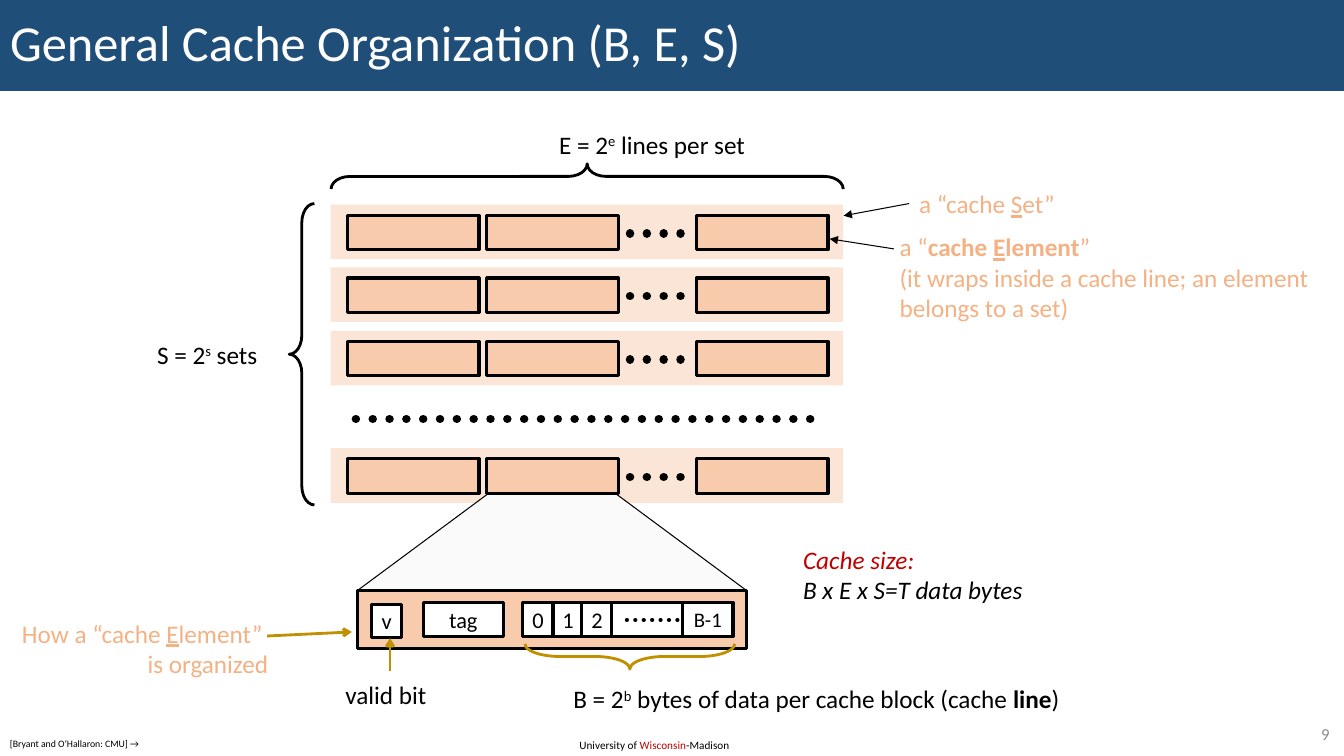
from lxml.etree import SubElement
from pptx import Presentation
from pptx.dml.color import RGBColor
from pptx.enum.dml import MSO_LINE
from pptx.enum.shapes import MSO_CONNECTOR, MSO_SHAPE
from pptx.enum.text import MSO_ANCHOR, PP_ALIGN
from pptx.oxml.ns import qn
from pptx.util import Pt

COLORS = {
    "black": "000000", "white": "FFFFFF", "navy": "1F4E79", "band": "FBE5D6",
    "line": "F8CBAD", "label": "F4B183", "red": "C00000", "gold": "BF9000",
    "zoom": "FAFAFA", "gray": "8C8C8C",
}
UNDERLINE = {"underline": True}
BOLD = {"bold": True}
SUPERSCRIPT = {"superscript": True}
CELL_FRAME = {
    "vertical_anchor": MSO_ANCHOR.MIDDLE, "word_wrap": False,
    "margin_left": 0, "margin_right": 0, "margin_top": 0, "margin_bottom": 0,
}


class CacheSlide:
    font_name = "Calibri"

    def __init__(self, presentation):
        self.slide = presentation.slides.add_slide(presentation.slide_layouts[5])

    def color(self, name):
        return RGBColor.from_string(COLORS[name])

    def apply(self, target, values):
        for name, value in values.items():
            setattr(target, name, value)

    def paint(self, shape, fill, line, width):
        if fill:
            shape.fill.solid()
            shape.fill.fore_color.rgb = self.color(fill)
        else:
            shape.fill.background()
        if line:
            shape.line.color.rgb = self.color(line)
            shape.line.width = Pt(width)
        else:
            shape.line.fill.background()

    def fill_text(self, shape, paragraphs, size, color, align=PP_ALIGN.LEFT, frame=None):
        text_frame = shape.text_frame
        self.apply(text_frame, {"word_wrap": True, **(frame or {})})
        for index, runs in enumerate(paragraphs):
            paragraph = text_frame.add_paragraph() if index else text_frame.paragraphs[0]
            paragraph.alignment = align
            for text, extra in runs:
                if text == "\n":
                    paragraph.add_line_break()
                    continue
                run = paragraph.add_run()
                run.text = text
                values = {"name": self.font_name, "size": Pt(size), **extra}
                if values.pop("superscript", False):
                    run.font._element.set("baseline", "30000")
                run.font.color.rgb = self.color(values.pop("color", color))
                self.apply(run.font, values)

    def title(self, text, height):
        shape = self.slide.shapes.title
        self.apply(shape, {"left": 0, "top": 0, "width": Pt(960), "height": Pt(height)})
        self.paint(shape, "navy", None, 0)
        self.fill_text(shape, [[(text, {})]], 36, "white",
                       frame={"vertical_anchor": MSO_ANCHOR.MIDDLE})
        shape.text_frame.paragraphs[0].line_spacing = 0.9

    def text(self, left, top, width, height, paragraphs, size=18, color="black", **style):
        shape = self.slide.shapes.add_textbox(Pt(left), Pt(top), Pt(width), Pt(height))
        self.fill_text(shape, paragraphs, size, color, **style)

    def shape(self, left, top, width, height, fill=None, line="black", weight=2.25,
              kind=MSO_SHAPE.RECTANGLE, adjustments=(), rotation=0):
        shape = self.slide.shapes.add_shape(kind, Pt(left), Pt(top), Pt(width), Pt(height))
        shape.shadow.inherit = False
        shape.rotation = rotation
        for index, value in enumerate(adjustments):
            shape.adjustments[index] = value
        self.paint(shape, fill, line, weight)
        return shape

    def cell(self, left, top, width, text, size=16):
        shape = self.shape(left, top, width, 24, "white")
        self.fill_text(shape, [[(text, {})]], size, "black", PP_ALIGN.CENTER, CELL_FRAME)

    def brace(self, left, top, height, rotation=0, color="black", curve=0.75):
        self.shape(left, top, 18, height, None, color, 2,
                   MSO_SHAPE.LEFT_BRACE, (curve, 0.5), rotation)

    def connector(self, start, end, color, width):
        points = [Pt(value) for value in (*start, *end)]
        connector = self.slide.shapes.add_connector(MSO_CONNECTOR.STRAIGHT, *points)
        connector.line.color.rgb = self.color(color)
        connector.line.width = Pt(width)
        SubElement(connector._element.spPr, qn("a:effectLst"))
        return connector

    def arrow(self, start, end, color="black", width=0.75, head="triangle"):
        connector = self.connector(start, end, color, width)
        SubElement(connector.line._get_or_add_ln(), qn("a:tailEnd")).set("type", head)

    def dots(self, left, right, middle, width=6):
        connector = self.connector((left, middle), (right, middle), "black", width)
        connector.line.dash_style = MSO_LINE.ROUND_DOT
        connector.line._get_or_add_ln().set("cap", "rnd")

    def cache_set(self, top):
        self.shape(236.2, top, 365.8, 39, "band", None)
        for left in (248.2, 347.6, 497.5):
            self.shape(left, top + 7.6, 94, 24.5, "line")
        self.dots(450, 498, top + 20.5)


def main():
    presentation = Presentation()
    presentation.slide_width, presentation.slide_height = Pt(960), Pt(540)
    cache = CacheSlide(presentation)

    cache.title("General Cache Organization (B, E, S)", 65)
    cache.text(406.8, 524, 124, 17, [[
        ("University of ", {}), ("Wisconsin", {"color": "red"}), ("-Madison", {})]], 8)

    cache.brace(410.4, -56.9, 365.8, 90)
    cache.brace(206.6, 145.4, 215.3)
    for top in (146.2, 191, 236.3, 320.2):
        cache.cache_set(top)
    cache.dots(254.2, 590.4, 299.2)
    cache.text(392.4, 88.6, 155.5, 29, [[
        ("E = 2", {}), ("e", SUPERSCRIPT), (" lines per set", {})]])
    cache.text(105.1, 238.6, 88, 29, [[
        ("S = 2", {}), ("s", SUPERSCRIPT), (" sets", {})]])

    cache.arrow((649.4, 145.4), (602.6, 154.1))
    cache.text(649.4, 131.2, 112.3, 29, [[
        ("a “cache ", {}), ("S", UNDERLINE), ("et”", {})]], color="label")
    cache.arrow((638.6, 177.8), (592.6, 170.6))
    cache.text(635.5, 162, 312, 73, [[
        ("a “", {}), ("cache ", BOLD), ("E", {**BOLD, **UNDERLINE}), ("lement", BOLD),
        ("” ", {}), ("\n", {}), ("(it wraps inside a cache line; an element", {}),
        ("\n", {}), ("belongs to a set)", {})]], color="label")

    cache.shape(255.6, 353.2, 277.4, 68.4, "zoom", "black", 0.75,
                MSO_SHAPE.TRAPEZOID, (1.35,))
    cache.shape(255.6, 421.5, 277.4, 41.6, "line")
    for left, text in ((373.5, "0"), (395, "1"), (415.6, "2")):
        cache.cell(left, 430.5, 21.6, text)
    cache.cell(487.6, 430.5, 36, "B-1", 14.8)
    cache.shape(437, 430.5, 50.6, 24, "white")
    cache.dots(447.8, 484, 442.8, 3)
    cache.cell(302.4, 430.5, 57, "tag")
    cache.cell(265.5, 431.5, 21.6, "v")

    cache.brace(440.9, 394, 149.8, 270, "gold", 1.37)
    cache.text(402.5, 484.6, 366, 29, [[
        ("B = 2", {}), ("b", SUPERSCRIPT),
        (" bytes of data per cache block (cache ", {}), ("line", BOLD), (")", {})]])
    cache.text(566.6, 385.2, 172.8, 51, [
        [("Cache size:", {"italic": True, "color": "red"})],
        [("B x E x S=T data bytes", {"italic": True})]])
    cache.text(239.6, 481.7, 75, 29, [[("valid bit", {})]])
    cache.arrow((278.6, 479.5), (278.6, 455.8), "gold", 2, "arrow")
    cache.text(5, 437.8, 193.7, 51, [[
        ("How a “cache ", {}), ("E", UNDERLINE), ("lement” ", {}),
        ("\n", {}), ("is organized", {})]], color="label", align=PP_ALIGN.RIGHT)
    cache.arrow((190.8, 454.3), (251.3, 451.4), "gold", 2, "arrow")

    source = cache.shape(0, 523.4, 110, 16, "white", None)
    cache.fill_text(source, [[("[Bryant and O‘Hallaron: CMU] →", {})]], 7, "black",
                    frame={"vertical_anchor": MSO_ANCHOR.TOP})
    cache.text(902, 513.4, 54.8, 21, [[("9", {})]], 12, "gray", align=PP_ALIGN.RIGHT,
               frame={"vertical_anchor": MSO_ANCHOR.MIDDLE})

    presentation.save("out.pptx")


if __name__ == "__main__":
    main()
